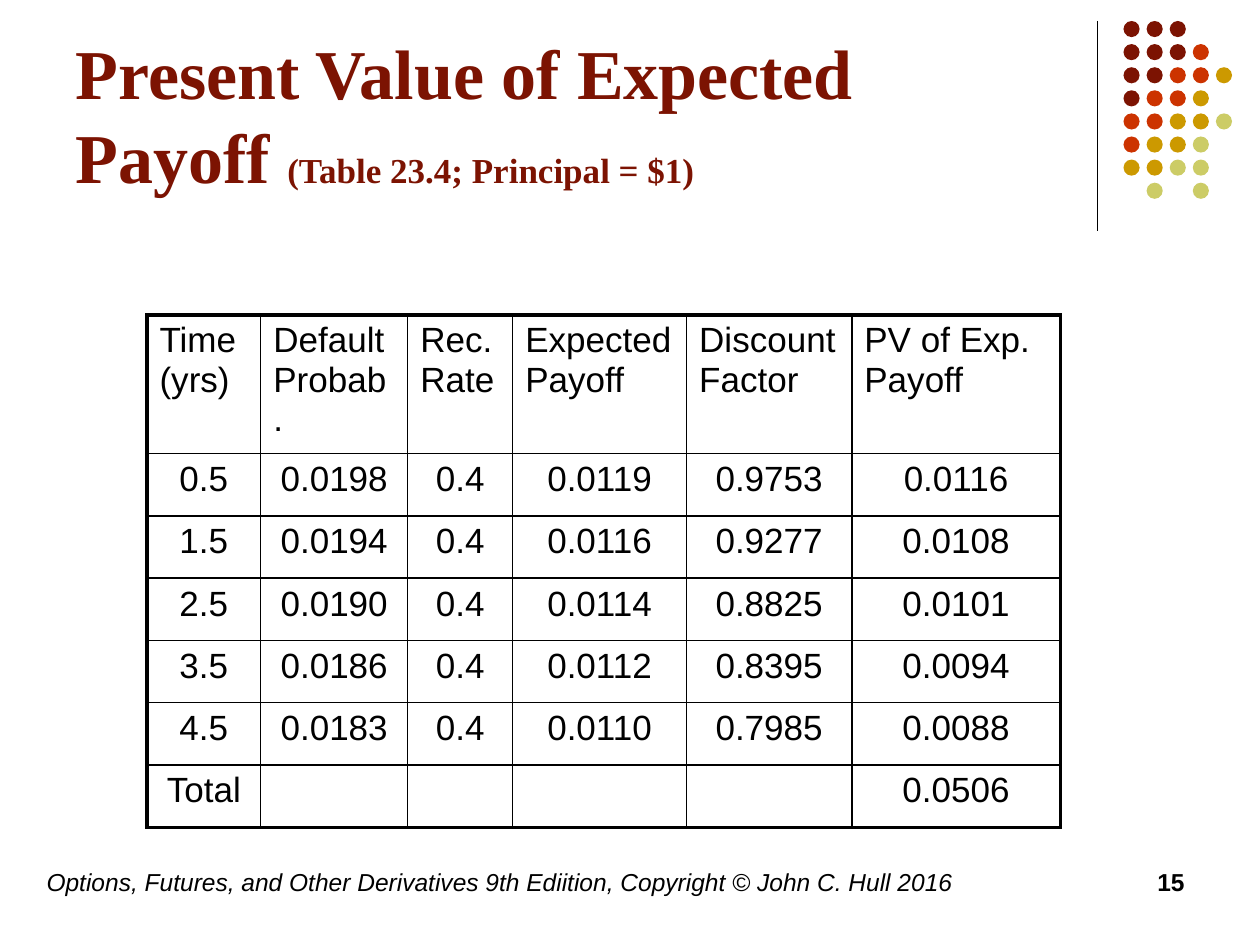
from lxml.etree import SubElement
from pptx import Presentation
from pptx.dml.color import RGBColor
from pptx.enum.shapes import MSO_CONNECTOR, MSO_SHAPE
from pptx.enum.text import MSO_ANCHOR, PP_ALIGN
from pptx.oxml import parse_xml
from pptx.oxml.ns import nsdecls, qn
from pptx.util import Pt

BLACK = RGBColor(0x00, 0x00, 0x00)
MAROON = RGBColor(0x7C, 0x13, 0x02)
RED = RGBColor(0xCC, 0x33, 0x00)
GOLD = RGBColor(0xCC, 0x99, 0x00)
OLIVE = RGBColor(0xCC, 0xCC, 0x66)

# One letter per dot, a space where the grid is open
DOT_COLORS = {"M": MAROON, "R": RED, "G": GOLD, "O": OLIVE}
DOT_ROWS = ["MMM", "MMMR", "MMRRG", "MRRG", "RRGGO", "RGGO", "GGOO", " O O"]
DOT_PITCH, DOT_SIZE = 13.2, 9.2

HEADERS = ["Time (yrs)", "Default Probab.", "Rec. Rate",
           "Expected Payoff", "Discount Factor", "PV of Exp. Payoff"]
PAYOFFS = [
    ["0.5", "0.0198", "0.4", "0.0119", "0.9753", "0.0116"],
    ["1.5", "0.0194", "0.4", "0.0116", "0.9277", "0.0108"],
    ["2.5", "0.0190", "0.4", "0.0114", "0.8825", "0.0101"],
    ["3.5", "0.0186", "0.4", "0.0112", "0.8395", "0.0094"],
    ["4.5", "0.0183", "0.4", "0.0110", "0.7985", "0.0088"],
    ["Total", "", "", "", "", "0.0506"],
]
COLUMN_WIDTHS = [65, 84, 60, 99.4, 94.4, 119.2]
HEADER_HEIGHT, ROW_HEIGHT = 62, 35.6
INNER_BORDER, OUTER_BORDER = 1, 2.25


def set_font(font, name, size, color, bold=False, italic=False):
    font.name, font.size = name, Pt(size)
    font.bold, font.italic = bold, italic
    font.color.rgb = color


def place_title(slide, left, top, width, height):
    title = slide.shapes.title
    title.left, title.top = Pt(left), Pt(top)
    title.width, title.height = Pt(width), Pt(height)
    frame = title.text_frame
    frame.word_wrap = True
    frame.vertical_anchor = MSO_ANCHOR.BOTTOM
    paragraph = frame.paragraphs[0]
    paragraph.alignment = PP_ALIGN.LEFT
    for text, size in [("Present Value of Expected Payoff ", 40),
                       ("(Table 23.4; Principal = $1)", 20)]:
        run = paragraph.add_run()
        run.text = text
        set_font(run.font, "Times New Roman", size, MAROON, bold=True)


def add_corner_ornament(slide, left, top, height):
    # Vertical rule
    rule = slide.shapes.add_connector(
        MSO_CONNECTOR.STRAIGHT, Pt(left), Pt(top), Pt(left), Pt(top + height))
    rule.line.color.rgb = BLACK
    rule.line.width = Pt(0.75)
    SubElement(rule._element.spPr, qn("a:effectLst"))

    # Dot grid
    dots = slide.shapes.add_group_shape()
    for row, letters in enumerate(DOT_ROWS):
        for column, letter in enumerate(letters):
            if letter == " ":
                continue
            dot = dots.shapes.add_shape(
                MSO_SHAPE.OVAL, Pt(left + 15 + column * DOT_PITCH),
                Pt(top + row * DOT_PITCH), Pt(DOT_SIZE), Pt(DOT_SIZE))
            dot.shadow.inherit = False
            dot.fill.solid()
            dot.fill.fore_color.rgb = DOT_COLORS[letter]
            dot.line.fill.background()


def set_borders(cell, widths):
    properties = cell._tc.get_or_add_tcPr()
    for index, (side, width) in enumerate(widths.items()):
        properties.insert(index, parse_xml(
            f'<a:ln{side} {nsdecls("a")} w="{Pt(width)}"><a:solidFill>'
            f'<a:srgbClr val="{BLACK}"/></a:solidFill></a:ln{side}>'))


def add_payoff_table(slide, left, top):
    rows = [HEADERS] + PAYOFFS
    heights = [HEADER_HEIGHT] + [ROW_HEIGHT] * len(PAYOFFS)
    table = slide.shapes.add_table(
        len(rows), len(HEADERS), Pt(left), Pt(top),
        Pt(sum(COLUMN_WIDTHS)), Pt(sum(heights))).table
    table.first_row = table.horz_banding = False
    for column, width in zip(table.columns, COLUMN_WIDTHS):
        column.width = Pt(width)
    for row, height in zip(table.rows, heights):
        row.height = Pt(height)

    last_row, last_column = len(rows) - 1, len(HEADERS) - 1
    for r, texts in enumerate(rows):
        for c, text in enumerate(texts):
            cell = table.cell(r, c)
            cell.text = text
            cell.fill.background()
            paragraph = cell.text_frame.paragraphs[0]
            paragraph.alignment = PP_ALIGN.CENTER if r else PP_ALIGN.LEFT
            set_font(paragraph.font, "Arial", 20, BLACK)
            on_edge = {"L": c == 0, "R": c == last_column,
                       "T": r == 0, "B": r == last_row}
            set_borders(cell, {side: OUTER_BORDER if edge else INNER_BORDER
                               for side, edge in on_edge.items()})


def add_footer_text(slide, text, left, top, width, height, alignment, **style):
    box = slide.shapes.add_textbox(Pt(left), Pt(top), Pt(width), Pt(height))
    box.text_frame.word_wrap = True
    paragraph = box.text_frame.paragraphs[0]
    paragraph.text = text
    paragraph.alignment = alignment
    set_font(paragraph.font, "Arial", 14, BLACK, **style)


def main():
    presentation = Presentation()
    presentation.slide_width, presentation.slide_height = Pt(720), Pt(540)
    slide = presentation.slides.add_slide(presentation.slide_layouts[5])

    add_corner_ornament(slide, 627, 12, 120)
    place_title(slide, 36, 20, 546, 96.5)
    add_footer_text(
        slide, "Options, Futures, and Other Derivatives 9th Ediition, "
        "Copyright © John C. Hull 2016",
        19.5, 492, 615.5, 36, PP_ALIGN.LEFT, italic=True)
    add_footer_text(slide, "15", 516, 492, 168, 36, PP_ALIGN.RIGHT, bold=True)
    add_payoff_table(slide, 84, 180)

    presentation.save("out.pptx")


if __name__ == "__main__":
    main()
